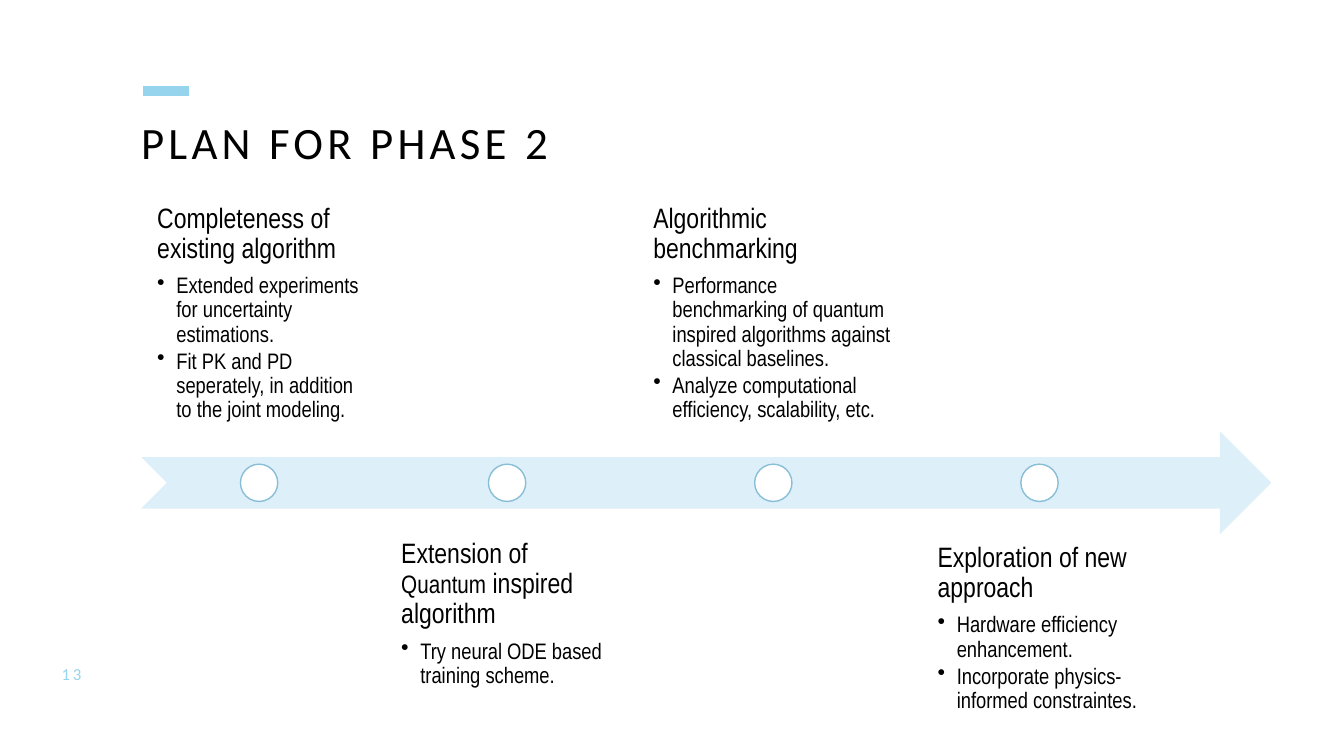
import pptx
import pptx.dml.color
import pptx.enum.shapes
import pptx.enum.text
import pptx.util
from dataclasses import dataclass
from lxml import etree
from pptx.util import Inches, Pt

SHAPE = pptx.enum.shapes.MSO_SHAPE
ANCHOR = pptx.enum.text.MSO_ANCHOR
ALIGN = pptx.enum.text.PP_ALIGN


@dataclass(frozen=True)
class Theme:
    text: str = "000000"
    accent: str = "96D3ED"
    arrow: str = "DDEFF8"
    ring: str = "88BFD7"
    white: str = "FFFFFF"
    title_font: str = "Calibri"
    body_font: str = "Arial Narrow"
    title: int = 32
    heading: int = 20
    heading_small: int = 18
    body: int = 16
    number: int = 12


T = Theme()

# Milestones: left, width, above the arrow, inset, heading runs, bullets
MILESTONES = [
    (1.4, 2.34, True, 0.16, [("Completeness of existing algorithm", T.heading)],
     ["Extended experiments for uncertainty estimations.",
      "Fit PK and PD seperately, in addition to the joint modeling."]),
    (3.86, 2.34, False, 0.12,
     [("Extension of ", T.heading), ("Quantum", T.heading_small),
      (" inspired algorithm", T.heading)],
     ["Try neural ODE based training scheme."]),
    (6.32, 2.7, True, 0.16, [("Algorithmic benchmarking", T.heading)],
     ["Performance benchmarking of quantum inspired algorithms against "
      "classical baselines.",
      "Analyze computational efficiency, scalability, etc."]),
    (9.14, 2.34, False, 0.16, [("Exploration of new approach", T.heading)],
     ["Hardware efficiency enhancement.",
      "Incorporate physics-informed constraintes."]),
]


def rgb(value):
    return pptx.dml.color.RGBColor.from_string(value)


def add_run(p, text, size, font, color=T.text, spacing=0):
    r = p.add_run()
    r.text = text
    r.font.size = Pt(size)
    r.font.name = font
    r.font.color.rgb = rgb(color)
    if spacing:
        r._r.get_or_add_rPr().set("spc", str(spacing * 100))


def set_frame(tf, inset, anchor=ANCHOR.TOP):
    tf.word_wrap = True
    tf.auto_size = pptx.enum.text.MSO_AUTO_SIZE.NONE
    tf.vertical_anchor = anchor
    tf.margin_left = tf.margin_right = Inches(inset)
    tf.margin_top = tf.margin_bottom = Inches(inset)


def add_bullet(p, indent=0.19):
    pPr = p._p.get_or_add_pPr()
    pPr.set("marL", str(Inches(indent)))
    pPr.set("indent", str(-Inches(indent)))
    bullet = etree.SubElement(pPr, pptx.oxml.ns.qn("a:buChar"))
    bullet.set("char", "•")


def add_filled(s, kind, left, top, width, height, fill, line=None):
    sp = s.shapes.add_shape(kind, Inches(left), Inches(top),
                            Inches(width), Inches(height))
    sp.shadow.inherit = False
    sp.fill.solid()
    sp.fill.fore_color.rgb = rgb(fill)
    if line:
        sp.line.color.rgb = rgb(line)
        sp.line.width = Pt(1)
    else:
        sp.line.fill.background()


def add_title(s, left, top, width, height):
    # Accent bar above the title
    bar = s.shapes.add_connector(pptx.enum.shapes.MSO_CONNECTOR.STRAIGHT,
                                 Inches(left + 0.02), Inches(top - 0.3),
                                 Inches(left + 0.47), Inches(top - 0.3))
    bar.line.color.rgb = rgb(T.accent)
    bar.line.width = Pt(7)
    etree.SubElement(bar._element.spPr, pptx.oxml.ns.qn("a:effectLst"))

    # Title text
    sp = s.shapes.title
    sp.left, sp.top = Inches(left), Inches(top)
    sp.width, sp.height = Inches(width), Inches(height)
    set_frame(sp.text_frame, 0)
    p = sp.text_frame.paragraphs[0]
    p.alignment = ALIGN.LEFT
    p.line_spacing = 0.9
    add_run(p, "PLAN FOR PHASE 2", T.title, T.title_font, spacing=3)


def add_milestone(s, left, top, width, height, anchor, inset, heading, bullets):
    sp = s.shapes.add_textbox(Inches(left), Inches(top),
                              Inches(width), Inches(height))
    tf = sp.text_frame
    set_frame(tf, inset, anchor)
    p = tf.paragraphs[0]
    p.line_spacing = 0.9
    p.space_after = Pt(7)
    for text, size in heading:
        add_run(p, text, size, T.body_font)
    for text in bullets:
        p = tf.add_paragraph()
        add_bullet(p)
        p.line_spacing = 0.9
        p.space_after = Pt(2)
        add_run(p, text, T.body, T.body_font)


def add_timeline(s, left, top, width, height):
    add_filled(s, SHAPE.NOTCHED_RIGHT_ARROW, left, top, width, height, T.arrow)
    text_height, dot = 1.76, 0.37
    middle = top + height / 2
    for x, w, above, inset, heading, bullets in MILESTONES:
        y = middle - 2.2 if above else middle + 0.44
        anchor = ANCHOR.BOTTOM if above else ANCHOR.TOP
        add_milestone(s, x, y, w, text_height, anchor, inset, heading, bullets)
        add_filled(s, SHAPE.OVAL, x + w / 2 - dot / 2, middle - dot / 2,
                   dot, dot, T.white, T.ring)


def add_slide_number(s, left, top, width, height):
    sp = s.shapes.add_textbox(Inches(left), Inches(top),
                              Inches(width), Inches(height))
    set_frame(sp.text_frame, 0, ANCHOR.MIDDLE)
    p = sp.text_frame.paragraphs[0]
    p.alignment = ALIGN.CENTER
    add_run(p, "13", T.number, T.title_font, T.accent, spacing=2)


def main():
    prs = pptx.Presentation()
    prs.slide_width, prs.slide_height = Inches(13.33), Inches(7.5)
    s = prs.slides.add_slide(prs.slide_layouts[5])
    add_title(s, 1.4, 1.2, 5.5, 2)
    add_timeline(s, 1.4, 4.28, 11.21, 1.02)
    add_slide_number(s, 0.46, 6.58, 0.5, 0.2)
    prs.save("out.pptx")


if __name__ == "__main__":
    main()
